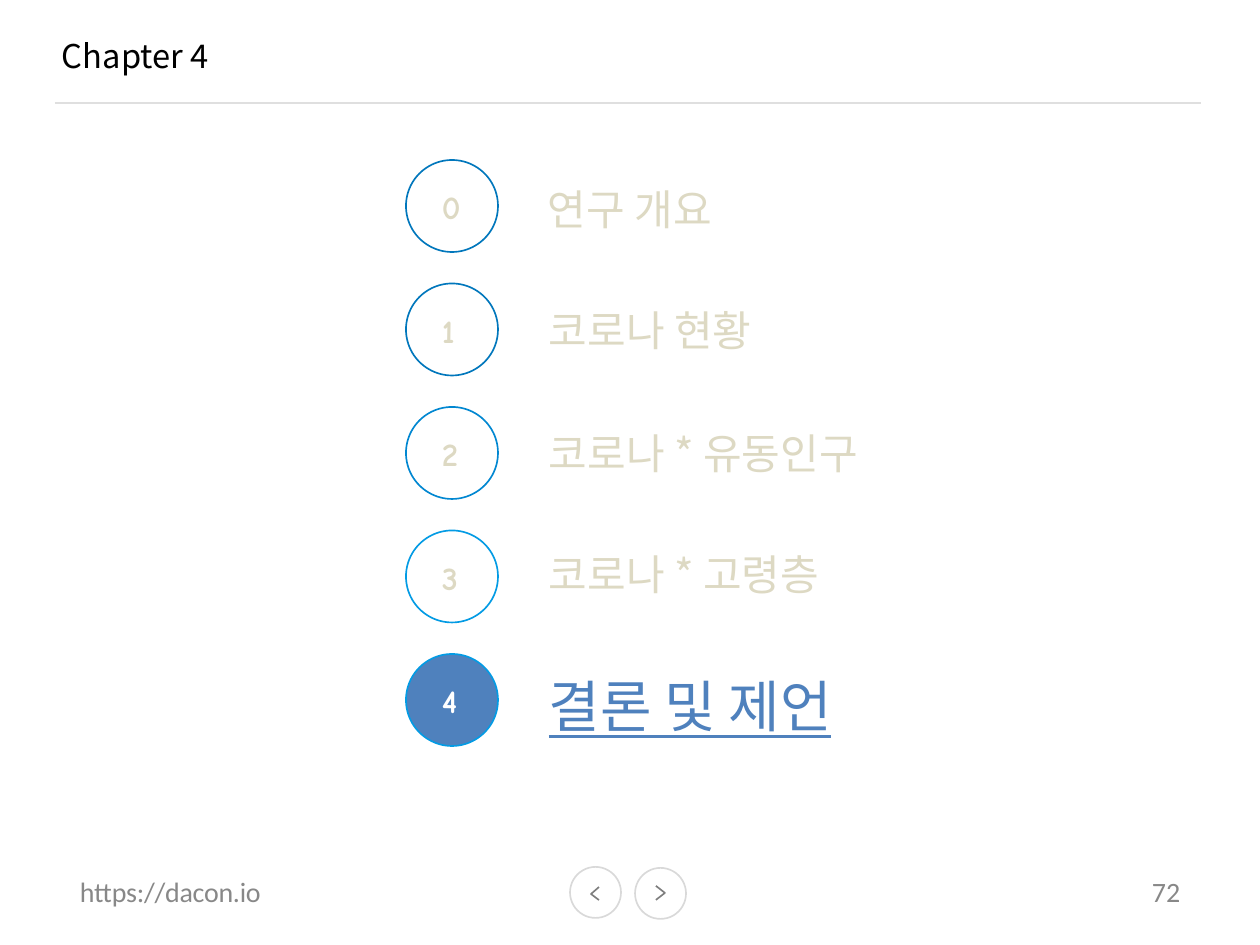
import pptx
import pptx.util
import pptx.dml.color
import pptx.enum.shapes
import pptx.oxml
import pptx.oxml.ns
import lxml.etree

COLORS = {
    "ink": "000000", "rule": "DFDFDF", "ring": "D9D9D9", "arrow": "7E7E7E",
    "footer": "888888", "muted": "DDD9C3", "accent": "4F81BD", "white": "FFFFFF",
    "deep": "0177BC", "middle": "0187D1", "light": "039BE4",
}
SANS, NUMERAL, FOOTER = "Noto Sans CJK KR", "Comic Neue", "Calibri"

CHAPTERS = [
    ("연구 개요", "deep", 531, 175, 420),
    ("코로나 현황", "deep", 532, 297, 353),
    ("코로나 * 유동인구", "middle", 532, 420, 504),
    ("코로나 * 고령층", "light", 532, 541, 475),
    ("결론 및 제언", "light", 532, 664, 391),
]
CURRENT = 4
NAVIGATION = [
    (570, 867, [(599, 887), (591, 894), (599, 900)]),
    (635, 868, [(656, 886), (665, 893), (656, 900)]),
]
FOOTERS = [("https://dacon.io", 78, 186, 2, -10), ("72", 1147, 39, 5, 0)]
CIRCLE_LEFT, CIRCLE_TOP, CIRCLE_SIZE, CIRCLE_PITCH = 406, 160, 92, 123.5
NAVIGATION_SIZE = 51
SCALE = 914400 / 168


def px(length):
    return pptx.util.Emu(round(length * SCALE))


def color(name):
    return pptx.dml.color.RGBColor.from_string(COLORS[name])


def add_text(page, text, left, top, width, height, *, font, size, tint,
             inset=(0, 0), bold=False, underline=False, spacing=None, tracking=0):
    box = page.shapes.add_textbox(px(left), px(top), px(width), px(height))
    frame = box.text_frame
    frame.word_wrap = True
    frame.margin_left, frame.margin_top = map(px, inset)
    frame.margin_right = frame.margin_bottom = 0
    para = frame.paragraphs[0]
    if spacing:
        para.line_spacing = pptx.util.Pt(spacing)
    span = para.add_run()
    span.text = text
    span.font.name = font
    span.font.size = pptx.util.Pt(size)
    span.font.bold = bold
    span.font.underline = underline
    span.font.color.rgb = color(tint)
    if tracking:
        span.font._element.set("spc", str(tracking))
    latin = span.font._element.find(pptx.oxml.ns.qn("a:latin"))
    east_asian = lxml.etree.Element(pptx.oxml.ns.qn("a:ea"), typeface=font)
    latin.addnext(east_asian)


def set_line(shape, tint):
    shape.line.color.rgb = color(tint)
    shape.line.width = pptx.util.Pt(0.72)


def add_circle(page, left, top, size, tint, fill=None):
    circle = page.shapes.add_shape(
        pptx.enum.shapes.MSO_SHAPE.OVAL, px(left), px(top), px(size), px(size))
    circle.shadow.inherit = False
    if fill:
        circle.fill.solid()
        circle.fill.fore_color.rgb = color(fill)
    else:
        circle.fill.background()
    set_line(circle, tint)


def add_chevron(page, points):
    builder = page.shapes.build_freeform(*points[0], scale=SCALE)
    builder.add_line_segments(points[1:], close=False)
    chevron = builder.convert_to_shape()
    chevron.shadow.inherit = False
    chevron.fill.background()
    set_line(chevron, "arrow")


def add_rule(page, left, right, top):
    rule = page.shapes.add_connector(
        pptx.enum.shapes.MSO_CONNECTOR.STRAIGHT, px(left), px(top), px(right), px(top))
    set_line(rule, "rule")
    lxml.etree.SubElement(rule._element.spPr, pptx.oxml.ns.qn("a:effectLst"))


def main():
    deck = pptx.Presentation()
    deck.slide_width, deck.slide_height = px(1260), px(945)
    page = deck.slides.add_slide(deck.slide_layouts[6])

    add_rule(page, 55, 1201, 103)
    add_text(page, "Chapter 4", 60, 34, 205, 42,
             font=SANS, size=14, tint="ink", inset=(2, 2))

    for number, (title, ring, left, top, width) in enumerate(CHAPTERS):
        active = number == CURRENT
        circle_top = CIRCLE_TOP + number * CIRCLE_PITCH
        add_circle(page, CIRCLE_LEFT, circle_top, CIRCLE_SIZE, ring,
                   fill="accent" if active else None)
        add_text(page, str(number), CIRCLE_LEFT + 34, circle_top + 24, 25, 42,
                 font=NUMERAL, size=14, tint="white" if active else "muted",
                 inset=(2, 3), bold=True)
        add_text(page, title, left, top, width, 84 if active else 67,
                 font=SANS, size=24 if active else 18,
                 tint="accent" if active else "muted",
                 inset=(17, 8), underline=active)

    for left, top, points in NAVIGATION:
        add_circle(page, left, top, NAVIGATION_SIZE, "ring")
        add_chevron(page, points)

    for text, left, width, indent, tracking in FOOTERS:
        add_text(page, text, left, 879, width, 32, font=FOOTER, size=12,
                 tint="footer", inset=(indent, 0), spacing=12.4, tracking=tracking)

    deck.save("out.pptx")


if __name__ == "__main__":
    main()
